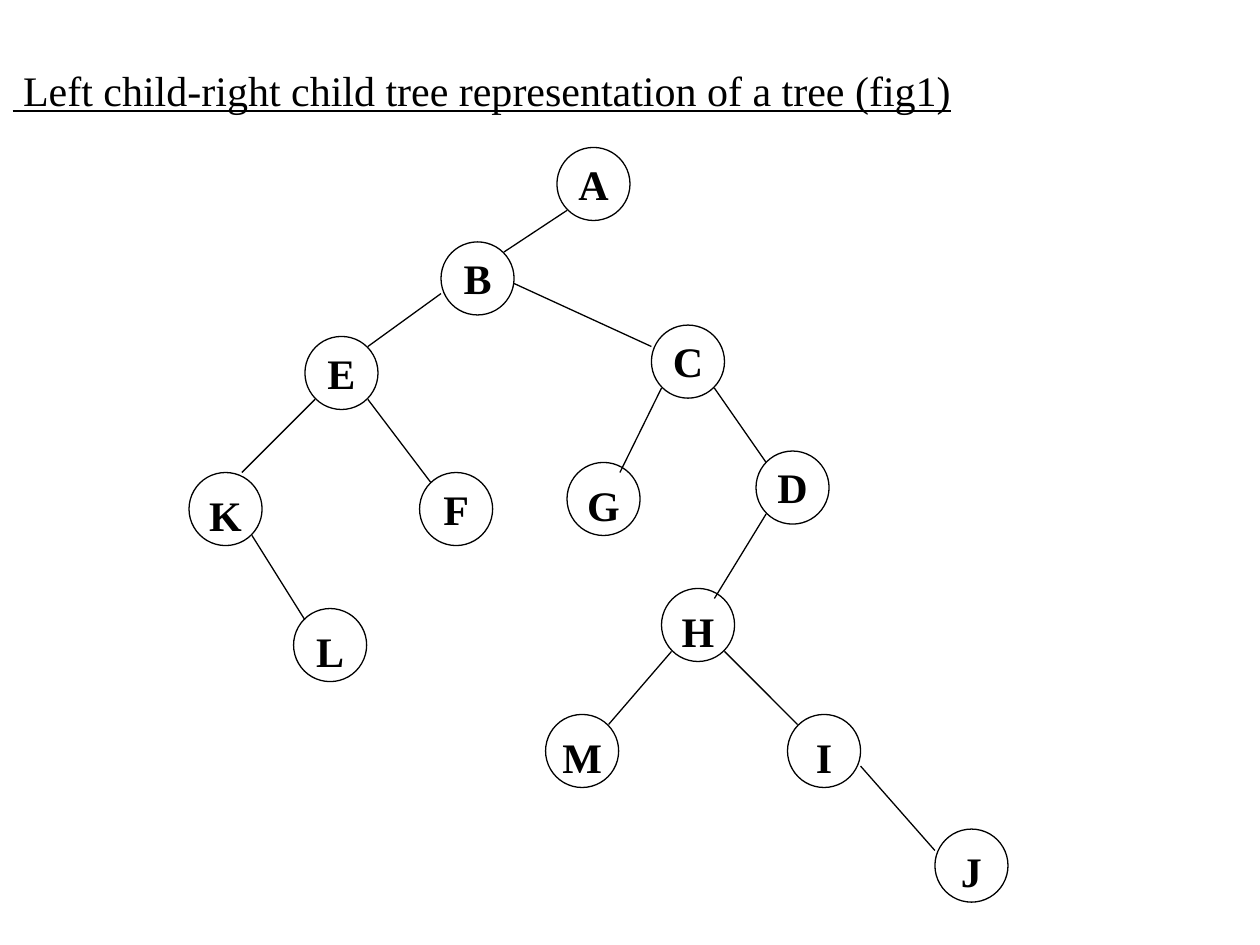
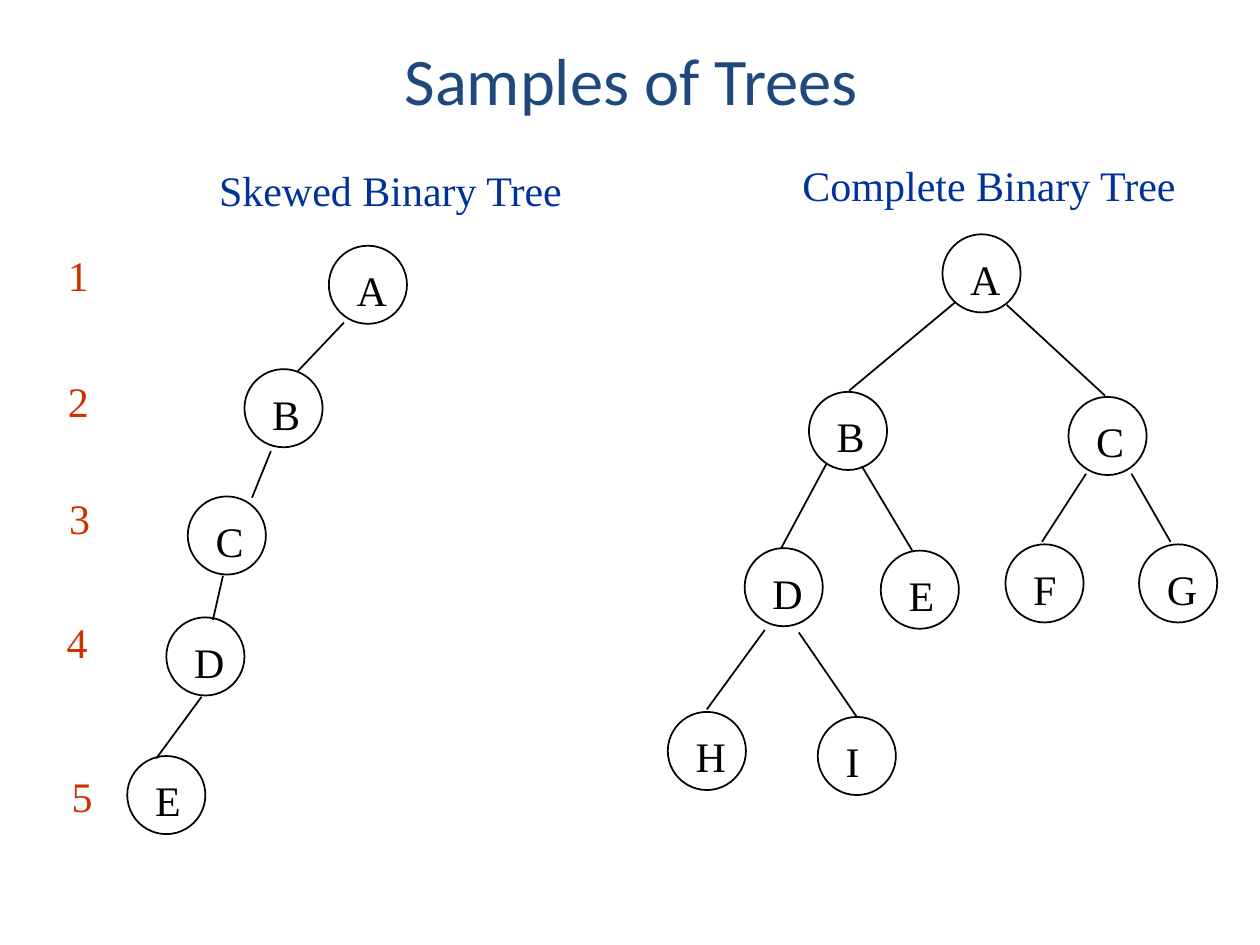
from lxml import etree
from pptx import Presentation
from pptx import util as u
from pptx.dml.color import RGBColor
from pptx.enum import shapes, text
from pptx.oxml.ns import qn

PX = 9144            # 100 px to the inch
BLACK = RGBColor(0, 0, 0)
NAVY = RGBColor(0x1F, 0x49, 0x7D)
BLUE = RGBColor(0, 0x33, 0x99)
RED = RGBColor(0xCC, 0x33, 0)
SERIF, SANS = "Times New Roman", "Calibri"
LEFT, CENTER = text.PP_ALIGN.LEFT, text.PP_ALIGN.CENTER
TOP, MIDDLE = text.MSO_ANCHOR.TOP, text.MSO_ANCHOR.MIDDLE

# First tree: columns and rows of a grid with 12 steps to the inch
HIGH = {"A": (53, 14), "B": (42, 23), "C": (62, 31), "D": (72, 43),
        "E": (29, 32), "F": (40, 45)}
LOW = {"G": (54, 44), "H": (63, 56), "I": (75, 68), "J": (89, 79),
       "K": (18, 45), "L": (28, 58), "M": (52, 68)}
LINKS = [(54, 20, 48, 24), (42, 28, 35, 33), (30, 38, 23, 45),
         (24, 51, 29, 59), (35, 38, 41, 46), (49, 27, 62, 33),
         (63, 37, 59, 45), (68, 37, 73, 44), (73, 49, 68, 57),
         (64, 62, 58, 69), (69, 62, 76, 69), (82, 73, 89, 81)]

# Sample trees, in px
SKEWED = {"A": (261, 195), "B": (194, 293), "C": (149, 394),
          "D": (132, 490), "E": (101, 600)}
SKEWED_LINKS = [(273, 256, 236, 295), (215, 358, 200, 395),
                (177, 457, 169, 492), (160, 553, 124, 602)]
FULL = {"A": (748, 186), "B": (642, 311), "C": (848, 315),
        "D": (591, 435), "E": (699, 437), "F": (798, 432),
        "G": (904, 432), "H": (530, 565), "I": (649, 569)}
FULL_LINKS = [(758, 240, 674, 310), (799, 242, 877, 314),
              (656, 368, 620, 435), (684, 370, 724, 437),
              (862, 376, 827, 430), (898, 376, 929, 430),
              (607, 500, 561, 563), (634, 502, 680, 569)]
LEVELS = [(44, 193), (44, 293), (45, 386), (43, 484), (47, 607)]


def emu(*px):
    return [n * PX for n in px]


def grid(*steps):
    return [round(n * 100 / 12) for n in steps]


def write(frame, words, color, size=24, face=SERIF, align=LEFT):
    frame.text = words
    par = frame.paragraphs[0]
    par.alignment = align
    par.font.size = u.Pt(size)
    par.font.name = face
    par.font.color.rgb = color
    return par


def title(slide, words, box, color, anchor, **style):
    shape = slide.shapes.title
    shape.left, shape.top, shape.width, shape.height = emu(*box)
    frame = shape.text_frame
    frame.vertical_anchor = anchor
    frame.auto_size = text.MSO_AUTO_SIZE.NONE
    return write(frame, words, color, **style)


def label(slide, words, box, color):
    frame = slide.shapes.add_textbox(*emu(*box)).text_frame
    frame.word_wrap = False
    write(frame, words, color)


def node(slide, name, spot, size, line, left=0, top=0, **style):
    oval = slide.shapes.add_shape(shapes.MSO_SHAPE.OVAL,
                                  *emu(*spot, size, size))
    oval.shadow.inherit = False
    oval.fill.background()
    oval.line.color.rgb = BLACK
    oval.line.width = u.Pt(line)
    frame = oval.text_frame
    frame.word_wrap = True
    frame.vertical_anchor = TOP
    frame.margin_left, frame.margin_top = emu(left, top)
    frame.margin_right = frame.margin_bottom = 0
    return write(frame, name, BLACK, **style)


def link(slide, ends, width):
    line = slide.shapes.add_connector(shapes.MSO_CONNECTOR.STRAIGHT,
                                      *emu(*ends))
    line.line.color.rgb = BLACK
    line.line.width = u.Pt(width)
    etree.SubElement(line._element.spPr, qn("a:effectLst"))


def child_tree(slide):
    par = title(slide, " Left child-right child tree representation"
                " of a tree (fig1)", (0, 46, 771, 50), BLACK, TOP)
    par.font.underline = True
    for nodes, top in ((HIGH, 0), (LOW, 5)):
        for name, spot in nodes.items():
            par = node(slide, name, grid(*spot), 58, 0.75,
                       top=top, align=CENTER)
            par.font.bold = True
    for ends in LINKS:
        link(slide, grid(*ends), 0.75)


def samples(slide):
    title(slide, "Samples of Trees", (0, 0, 1002, 125), NAVY, MIDDLE,
          size=38, face=SANS, align=CENTER)
    label(slide, "Skewed Binary Tree", (164, 126, 294, 50), BLUE)
    label(slide, "Complete Binary Tree", (627, 122, 318, 50), BLUE)
    for nodes, links in ((SKEWED, SKEWED_LINKS), (FULL, FULL_LINKS)):
        for name, spot in nodes.items():
            node(slide, name, spot, 62, 1, left=13, top=6)
        for ends in links:
            link(slide, ends, 1)
    # Level numbers down the left edge
    for level, spot in enumerate(LEVELS, 1):
        label(slide, str(level), (*spot, 37, 50), RED)


def main():
    deck = Presentation()
    deck.slide_width, deck.slide_height = emu(1000, 750)
    for build in (child_tree, samples):
        build(deck.slides.add_slide(deck.slide_layouts[5]))
    deck.save("out.pptx")


if __name__ == "__main__":
    main()
